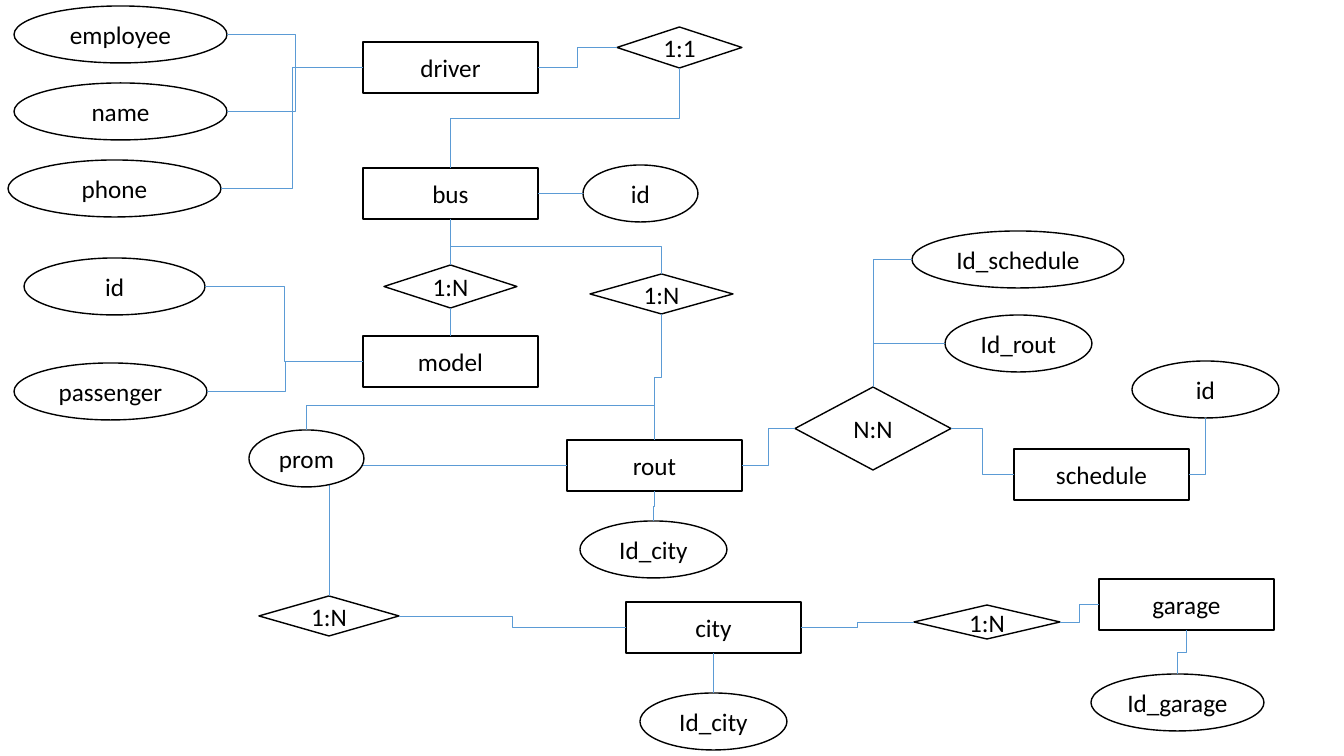
from dataclasses import dataclass

from lxml import etree
from pptx import Presentation
from pptx import util as u
from pptx.dml.color import RGBColor
from pptx.enum import shapes, text
from pptx.oxml.ns import qn

PX = 914400 / 100.8
BLACK = RGBColor(0x00, 0x00, 0x00)
WHITE = RGBColor(0xFF, 0xFF, 0xFF)
BLUE = RGBColor(0x5B, 0x9B, 0xD5)

RECTANGLE = shapes.MSO_SHAPE.RECTANGLE
DIAMOND = shapes.MSO_SHAPE.DIAMOND
OVAL = shapes.MSO_SHAPE.OVAL
TOP, LEFT, BOTTOM, RIGHT = range(4)
VERTICAL_SIDES = (TOP, BOTTOM)
ENTITY_WIDTH, ENTITY_HEIGHT, ATTRIBUTE_HEIGHT = 175, 51, 57
LABEL_FONT = {"name": "Calibri", "size": u.Pt(18)}


@dataclass(frozen=True)
class Node:
    key: str
    label: str
    left: int
    top: int
    width: int = ENTITY_WIDTH
    height: int = ENTITY_HEIGHT
    kind: shapes.MSO_SHAPE = RECTANGLE


@dataclass(frozen=True)
class Link:
    start: str
    start_side: int
    end: str
    end_side: int
    bend: float = 0.5


def relation(key: str, label: str, left: int, top: int, width: int, height: int) -> Node:
    return Node(key, label, left, top, width, height, DIAMOND)


def attribute(key: str, label: str, left: int, top: int, width: int) -> Node:
    return Node(key, label, left, top, width, ATTRIBUTE_HEIGHT, OVAL)


ENTITIES = [
    Node("model", "model", 363, 336),
    Node("bus", "bus", 363, 168),
    Node("driver", "driver", 363, 42),
    Node("rout", "rout", 567, 440),
    Node("schedule", "schedule", 1014, 449),
    Node("city", "city", 626, 602),
    Node("garage", "garage", 1099, 579),
]
RELATIONS = [
    relation("bus-model", "1:N", 384, 265, 133, 43),
    relation("driver-bus", "1:1", 617, 27, 125, 41),
    relation("city-garage", "1:N", 914, 605, 146, 34),
    relation("rout-schedule", "N:N", 795, 387, 156, 83),
    relation("bus-rout", "1:N", 590, 274, 143, 40),
    relation("rout-city", "1:N", 259, 596, 140, 40),
]
ATTRIBUTES = [
    attribute("employee", "employee", 14, 6, 213),
    attribute("name", "name", 14, 83, 213),
    attribute("phone", "phone", 8, 160, 213),
    attribute("model id", "id", 24, 258, 181),
    attribute("passenger", "passenger", 14, 363, 193),
    attribute("bus id", "id", 583, 165, 115),
    attribute("prom", "prom", 249, 430, 115),
    attribute("rout id", "Id_city", 580, 521, 147),
    attribute("city id", "Id_city", 640, 693, 147),
    attribute("garage id", "Id_garage", 1091, 674, 173),
    attribute("schedule id", "id", 1132, 361, 147),
    attribute("link schedule", "Id_schedule", 912, 231, 212),
    attribute("link rout", "Id_rout", 945, 315, 147),
]
RELATION_LINKS = [
    Link("bus-model", BOTTOM, "model", TOP),
    Link("bus", BOTTOM, "bus-model", TOP),
    Link("driver", RIGHT, "driver-bus", LEFT),
    Link("driver-bus", BOTTOM, "bus", TOP),
    Link("bus", BOTTOM, "bus-rout", TOP),
    Link("bus-rout", BOTTOM, "rout", TOP),
    Link("rout", RIGHT, "rout-schedule", LEFT),
    Link("rout-schedule", RIGHT, "schedule", LEFT),
    Link("rout", LEFT, "rout-city", TOP),
    Link("rout-city", RIGHT, "city", LEFT),
    Link("city", RIGHT, "city-garage", LEFT),
    Link("city-garage", RIGHT, "garage", LEFT),
]
ATTRIBUTE_LINKS = [
    Link("rout", BOTTOM, "rout id", TOP),
    Link("prom", TOP, "rout", TOP, -2.5),
    Link("garage", BOTTOM, "garage id", TOP),
    Link("city", BOTTOM, "city id", TOP),
    Link("employee", RIGHT, "driver", LEFT),
    Link("name", RIGHT, "driver", LEFT),
    Link("phone", RIGHT, "driver", LEFT),
    Link("model id", RIGHT, "model", LEFT),
    Link("passenger", RIGHT, "model", LEFT),
    Link("schedule", RIGHT, "schedule id", BOTTOM),
    Link("link schedule", LEFT, "rout-schedule", TOP),
    Link("link rout", LEFT, "rout-schedule", TOP),
    Link("bus", RIGHT, "bus id", LEFT),
]


def emu(px: int) -> int:
    return round(px * PX)


def draw_node(page, node: Node):
    bounds = (emu(v) for v in (node.left, node.top, node.width, node.height))
    box = page.shapes.add_shape(node.kind, *bounds)
    box.shadow.inherit = False
    box.fill.solid()
    box.fill.fore_color.rgb = WHITE
    box.line.color.rgb = BLACK
    box.line.width = u.Pt(1)
    box.text_frame.vertical_anchor = text.MSO_ANCHOR.MIDDLE
    para = box.text_frame.paragraphs[0]
    para.alignment = text.PP_ALIGN.CENTER
    span = para.add_run()
    span.text = node.label
    for name, value in LABEL_FONT.items():
        setattr(span.font, name, value)
    span.font.color.rgb = BLACK
    return box


def turn_downward(connector) -> None:
    across = connector.end_x - connector.begin_x
    down = connector.end_y - connector.begin_y
    center_x = (connector.begin_x + connector.end_x) // 2
    center_y = (connector.begin_y + connector.end_y) // 2
    bounds = {
        "left": center_x - down // 2,
        "top": center_y - abs(across) // 2,
        "width": down,
        "height": abs(across),
    }
    for name, value in bounds.items():
        setattr(connector, name, value)
    frame = connector.element.spPr.find(qn("a:xfrm"))
    for name, value in {"rot": 90 * 60000, "flipH": 0, "flipV": int(across > 0)}.items():
        frame.set(name, str(value))


def draw_link(page, link: Link, boxes: dict) -> None:
    connector = page.shapes.add_connector(shapes.MSO_CONNECTOR.ELBOW, 0, 0, 0, 0)
    start, end = boxes[link.start], boxes[link.end]
    connector.begin_connect(start, link.start_side)
    connector.end_connect(end, link.end_side)
    joints = (("a:stCxn", start, link.start_side), ("a:endCxn", end, link.end_side))
    for tag, box, side in joints:
        if box.auto_shape_type == OVAL:
            joint = next(connector.element.iter(qn(tag)))
            joint.set("idx", str(side * 2))

    properties = connector.element.spPr
    geometry = properties.find(qn("a:prstGeom"))
    start_vertical = link.start_side in VERTICAL_SIDES
    if start_vertical != (link.end_side in VERTICAL_SIDES):
        geometry.set("prst", "bentConnector2")
    elif start_vertical:
        turn_downward(connector)
    if link.bend != 0.5:
        guide = etree.SubElement(geometry.find(qn("a:avLst")), qn("a:gd"))
        guide.set("name", "adj1")
        guide.set("fmla", f"val {round(link.bend * 100000)}")

    connector.line.color.rgb = BLUE
    connector.line.width = u.Pt(0.5)
    etree.SubElement(properties, qn("a:effectLst"))


def main() -> None:
    deck = Presentation()
    deck.slide_width, deck.slide_height = emu(1344), emu(756)
    page = deck.slides.add_slide(deck.slide_layouts[6])
    boxes = {}
    layers = ((ENTITIES + RELATIONS, RELATION_LINKS), (ATTRIBUTES, ATTRIBUTE_LINKS))
    for nodes, links in layers:
        for node in nodes:
            boxes[node.key] = draw_node(page, node)
        for link in links:
            draw_link(page, link, boxes)
    deck.save("out.pptx")


if __name__ == "__main__":
    main()
